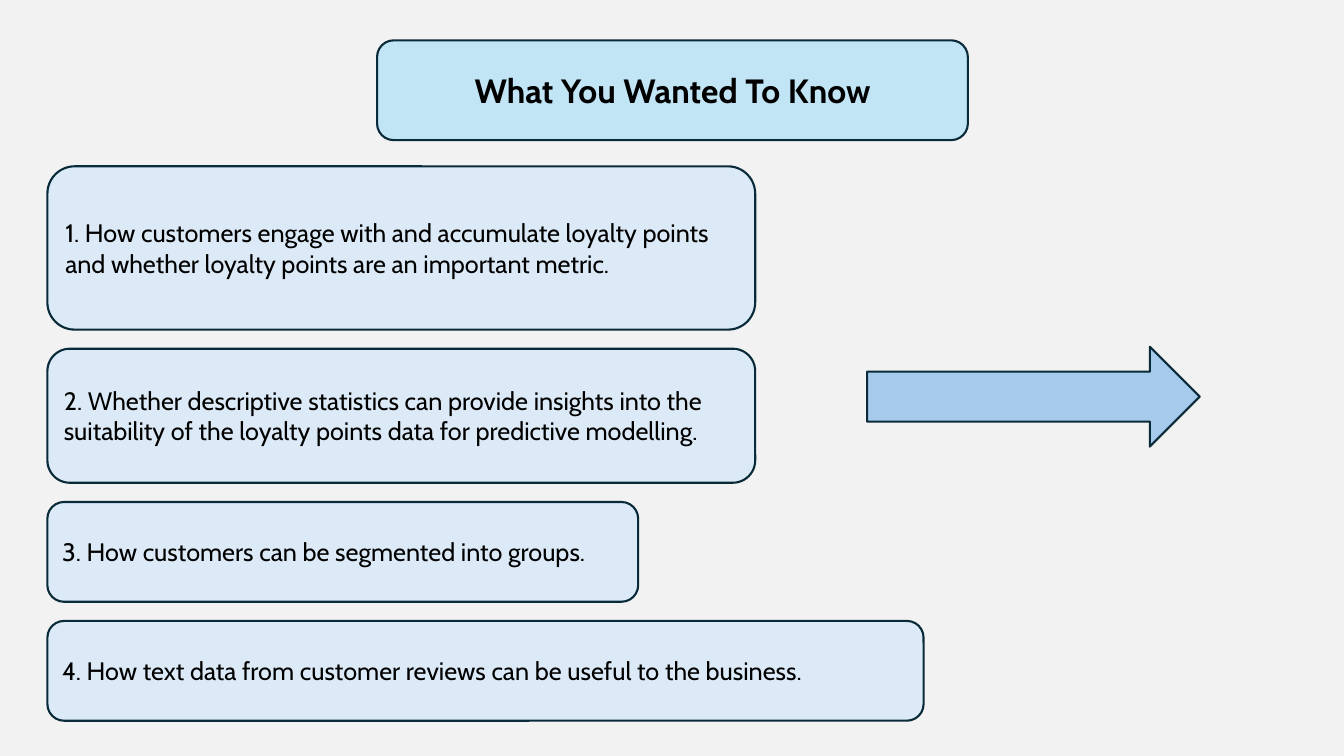
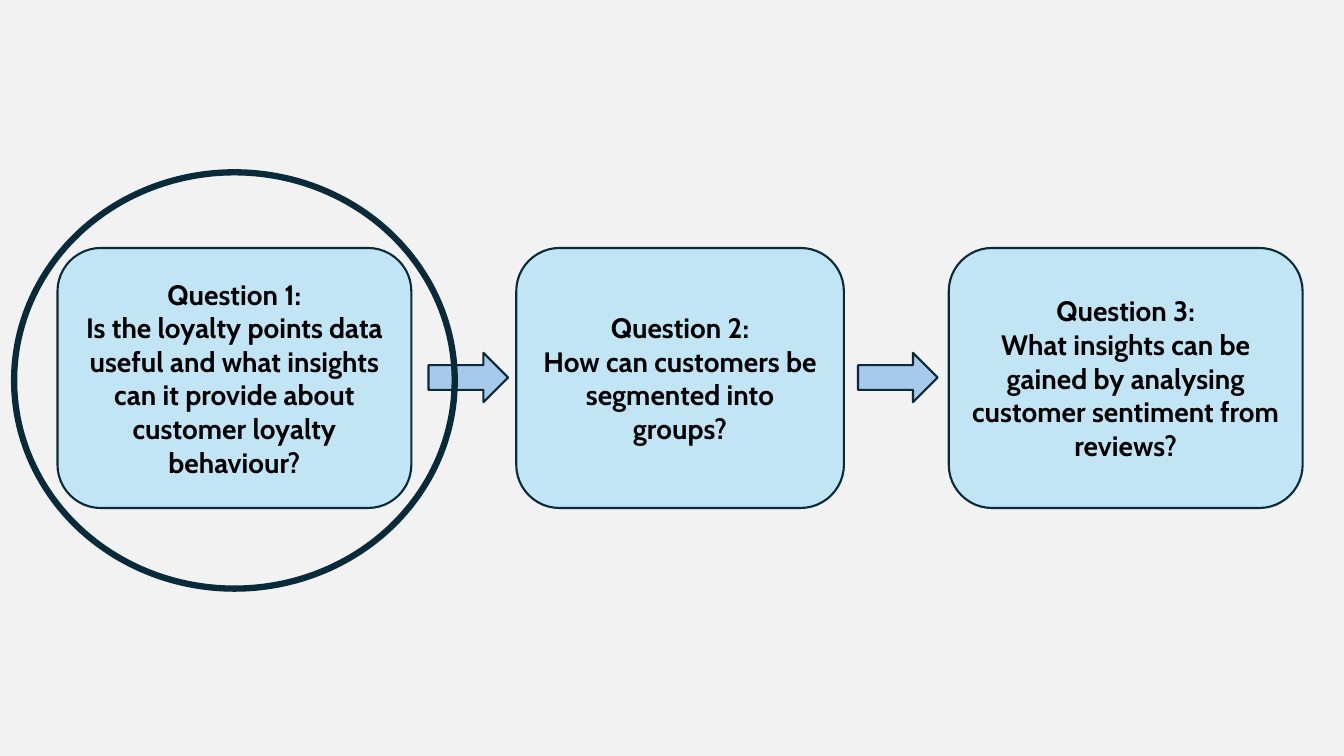
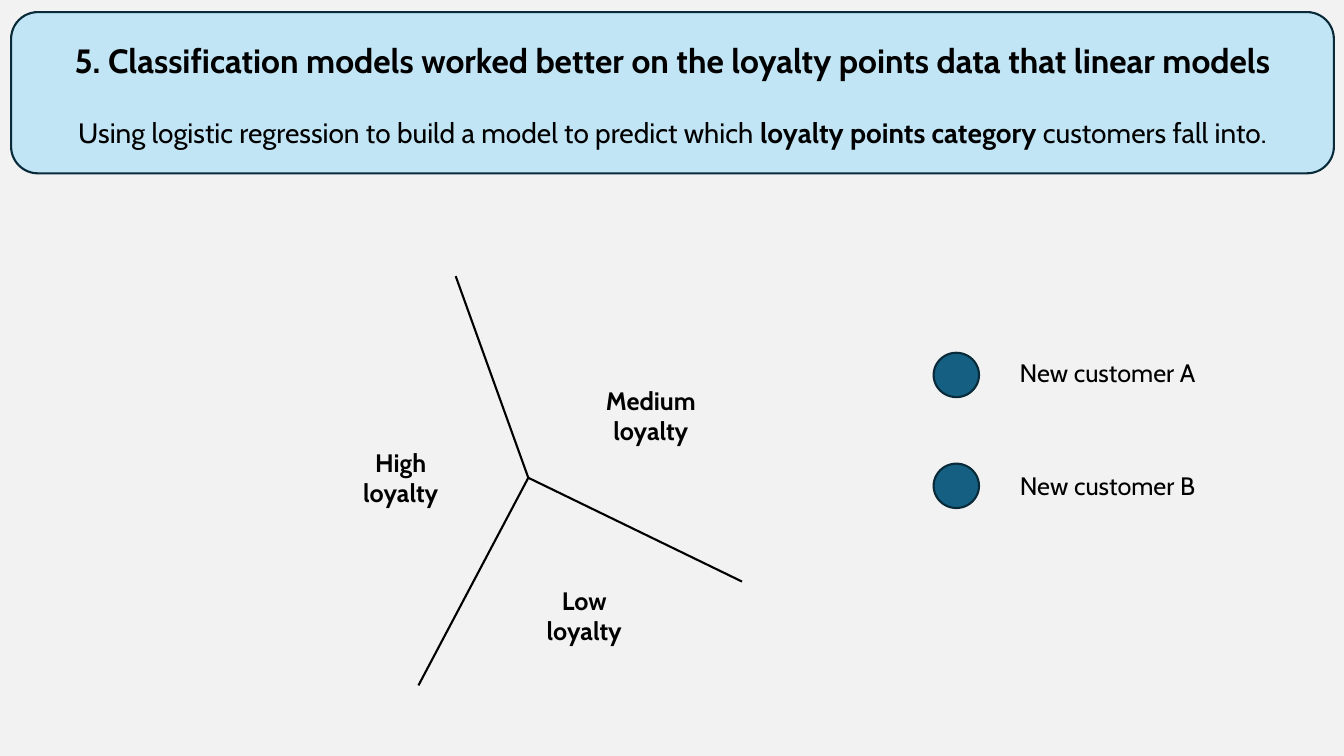
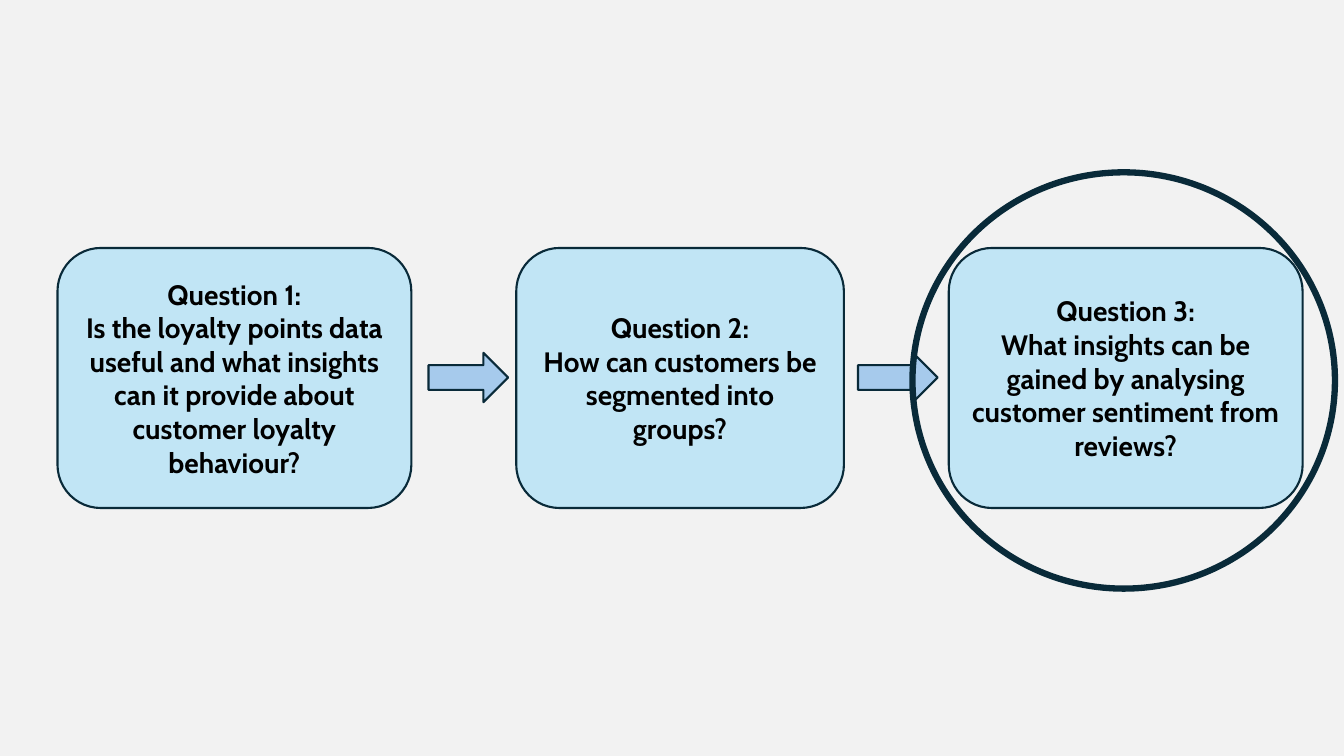
from dataclasses import dataclass

import lxml.etree
import pptx
import pptx.dml.color
import pptx.enum.shapes
import pptx.enum.text
import pptx.oxml.ns
import pptx.util

Inches = pptx.util.Inches
SHAPE = pptx.enum.shapes.MSO_SHAPE
ALIGN = pptx.enum.text.PP_ALIGN
ANCHOR = pptx.enum.text.MSO_ANCHOR
FIT = pptx.enum.text.MSO_AUTO_SIZE


@dataclass(frozen=True)
class Theme:
    font: str = "Cabin"
    background: str = "F2F2F2"
    ink: str = "000000"
    outline: str = "092A39"
    panel: str = "C1E5F5"
    card: str = "DCEAF7"
    arrow: str = "A6CAEC"
    dot: str = "156082"
    title_size: int = 24
    lead_size: int = 20
    body_size: int = 18
    line: float = 1.5
    ring_line: float = 4.5


def rgb(value):
    return pptx.dml.color.RGBColor.from_string(value)


def apply(target, values):
    for name, value in values.items():
        setattr(target, name, value)


class Deck:
    """Holds the theme, the presentation and the slide being built."""

    def __init__(self, theme):
        self.theme = theme
        self.prs = pptx.Presentation()
        apply(self.prs, {"slide_width": Inches(13.33), "slide_height": Inches(7.5)})
        backdrop = self.prs.slide_master.background.fill
        backdrop.solid()
        backdrop.fore_color.rgb = rgb(theme.background)
        self.slide = None

    def new_slide(self, titled=False):
        layout = self.prs.slide_layouts.get_by_name("Title Only" if titled else "Blank")
        self.slide = self.prs.slides.add_slide(layout)

    def set_text(self, shape, paragraphs, size, bold=False, align=ALIGN.CENTER,
                 anchor=ANCHOR.MIDDLE, fit=FIT.NONE):
        """Fill a shape; a paragraph is a string or a list of (text, bold) runs."""
        frame = shape.text_frame
        apply(frame, {"word_wrap": True, "auto_size": fit, "vertical_anchor": anchor})
        for index, content in enumerate(paragraphs):
            paragraph = frame.add_paragraph() if index else frame.paragraphs[0]
            paragraph.alignment = align
            runs = [(content, bold)] if isinstance(content, str) else content
            for text, weight in runs:
                run = paragraph.add_run()
                run.text = text
                apply(run.font, {"name": self.theme.font, "bold": weight,
                                 "size": pptx.util.Pt(size)})
                run.font.color.rgb = rgb(self.theme.ink)

    def shape(self, kind, box, fill=None, width=None):
        shape = self.slide.shapes.add_shape(kind, *map(Inches, box))
        shape.shadow.inherit = False
        if fill:
            shape.fill.solid()
            shape.fill.fore_color.rgb = rgb(fill)
        else:
            shape.fill.background()
        shape.line.color.rgb = rgb(self.theme.outline)
        shape.line.width = pptx.util.Pt(width or self.theme.line)
        return shape

    def title(self, text, panel_box, title_box=None):
        """Rounded panel with the slide title lying on it."""
        self.shape(SHAPE.ROUNDED_RECTANGLE, panel_box, self.theme.panel)
        title = self.slide.shapes.title
        left, top, width, height = map(Inches, title_box or panel_box)
        apply(title, {"left": left, "top": top, "width": width, "height": height})
        self.set_text(title, [text], self.theme.title_size, bold=True)
        title.element.getparent().append(title.element)

    def card(self, text, box):
        card = self.shape(SHAPE.ROUNDED_RECTANGLE, box, self.theme.card)
        self.set_text(card, [text], self.theme.body_size, align=ALIGN.LEFT)

    def question(self, paragraphs, box):
        panel = self.shape(SHAPE.ROUNDED_RECTANGLE, box, self.theme.panel)
        self.set_text(panel, paragraphs, self.theme.lead_size, bold=True)

    def arrow(self, box):
        self.shape(SHAPE.RIGHT_ARROW, box, self.theme.arrow)

    def ring(self, box):
        self.shape(SHAPE.OVAL, box, width=self.theme.ring_line)

    def dot(self, box):
        self.shape(SHAPE.OVAL, box, self.theme.dot)

    def label(self, content, box, size=None, **style):
        label = self.slide.shapes.add_textbox(*map(Inches, box))
        self.set_text(label, [content], size or self.theme.body_size, **style)

    def line(self, start, end):
        line = self.slide.shapes.add_connector(
            pptx.enum.shapes.MSO_CONNECTOR.STRAIGHT, *map(Inches, start + end))
        line.line.color.rgb = rgb(self.theme.ink)
        line.line.width = pptx.util.Pt(self.theme.line)
        lxml.etree.SubElement(line.element.spPr, pptx.oxml.ns.qn("a:effectLst"))


def wanted_slide(deck):
    deck.new_slide(titled=True)
    deck.title("What You Wanted To Know", (3.74, 0.4, 5.86, 0.99))

    # Numbered cards stacked with an equal gap
    goals = [
        ("How customers engage with and accumulate loyalty points and whether "
         "loyalty points are an important metric.", 7.02, 1.62),
        ("Whether descriptive statistics can provide insights into the suitability "
         "of the loyalty points data for predictive modelling.", 7.02, 1.33),
        ("How customers can be segmented into groups.", 5.86, 0.99),
        ("How text data from customer reviews can be useful to the business.", 8.69, 0.99),
    ]
    top, gap = 1.65, 0.19
    for number, (goal, width, height) in enumerate(goals, 1):
        deck.card(f"{number}. {goal}", (0.47, top, width, height))
        top += height + gap
    deck.arrow((8.6, 3.44, 3.3, 0.99))


def questions_slide(deck, ring_box):
    deck.new_slide()
    questions = [
        ("Is the loyalty points data useful and what insights can it provide about "
         "customer loyalty behaviour?", 0.57, 3.51),
        ("How can customers be segmented into groups?", 5.12, 3.25),
        ("What insights can be gained by analysing customer sentiment from reviews?",
         9.41, 3.51),
    ]
    for number, (question, left, width) in enumerate(questions, 1):
        deck.question([f"Question {number}:", question], (left, 2.46, width, 2.58))
    for left in (4.25, 8.51):
        deck.arrow((left, 3.5, 0.79, 0.49))
    # Ring around the current question
    deck.ring(ring_box)


def classification_slide(deck):
    deck.new_slide(titled=True)
    deck.title("5. Classification models worked better on the loyalty points data "
               "that linear models", (0.11, 0.12, 13.12, 1.6), (0.11, 0.3, 13.12, 0.6))
    deck.label([("Using logistic regression to build a model to predict which ", False),
                ("loyalty points category", True),
                (" customers fall into.", False)],
               (0.11, 1.05, 13.12, 0.52), deck.theme.lead_size)

    # Three regions meeting at one point
    centre = (5.24, 4.74)
    for end in ((4.52, 2.74), (4.15, 6.8), (7.36, 5.77)):
        deck.line(centre, end)
    for level, left, top in (("High", 3.31, 4.39), ("Medium", 5.79, 3.77),
                             ("Low", 5.13, 5.76)):
        deck.label(f"{level} loyalty", (left, top, 1.33, 0.71), bold=True,
                   anchor=ANCHOR.TOP, fit=FIT.SHAPE_TO_FIT_TEXT)

    # Customers still to be classified
    for customer, dot_top, label_top in (("A", 3.5, 3.5), ("B", 4.6, 4.62)):
        deck.dot((9.26, dot_top, 0.45, 0.44))
        deck.label(f"New customer {customer}", (9.71, label_top, 2.55, 0.4),
                   align=ALIGN.CENTER, anchor=ANCHOR.TOP, fit=FIT.SHAPE_TO_FIT_TEXT)


def main():
    deck = Deck(Theme())
    wanted_slide(deck)
    questions_slide(deck, (0.14, 1.71, 4.37, 4.13))
    classification_slide(deck)
    questions_slide(deck, (9.05, 1.71, 4.19, 4.13))
    deck.prs.save("out.pptx")


if __name__ == "__main__":
    main()
